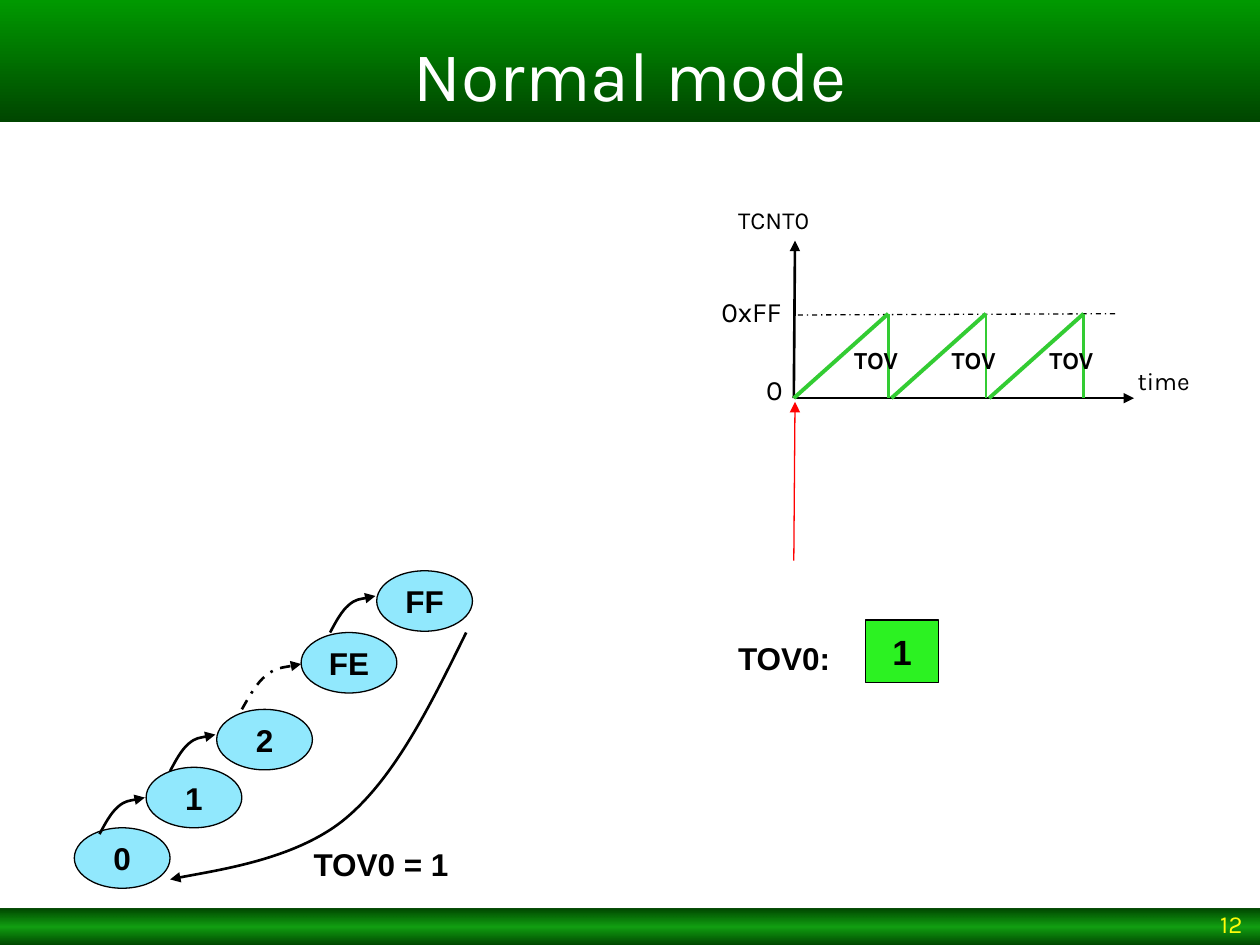
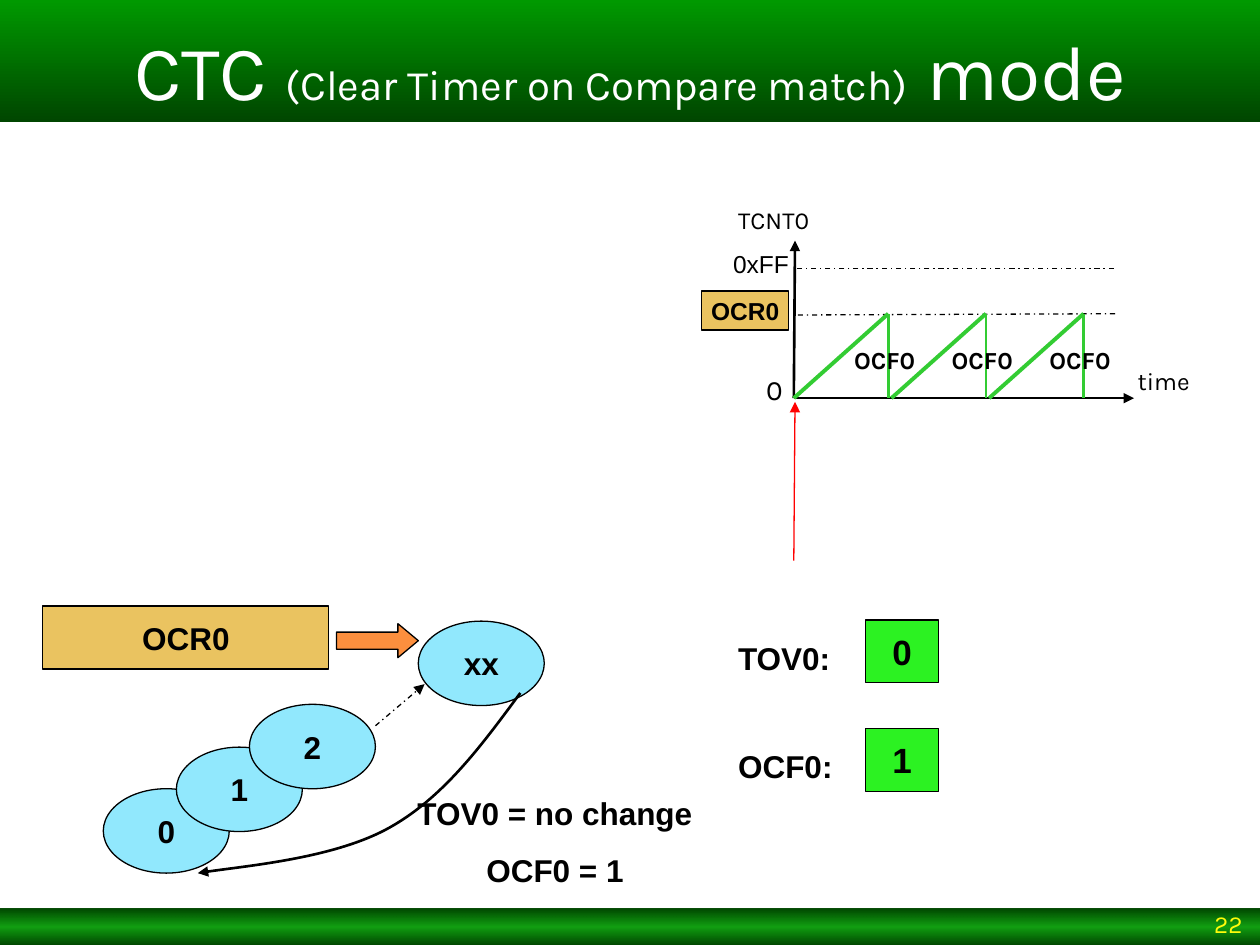
from lxml.etree import SubElement as Sub
from pptx import Presentation
from pptx.dml.color import RGBColor as RGB
from pptx.enum.dml import MSO_LINE_DASH_STYLE as Dash
from pptx.enum.shapes import MSO_CONNECTOR as Link, MSO_SHAPE as Kind
from pptx.enum.text import MSO_ANCHOR as Anchor, PP_ALIGN as Align
from pptx.oxml.ns import qn
from pptx.util import Inches, Pt

BLACK = RGB(0, 0, 0)
WHITE = RGB(0xFF, 0xFF, 0xFF)
DARK = RGB(0x00, 0x46, 0x00)
GREEN = RGB(0x00, 0x99, 0x00)
WAVE = RGB(0x33, 0xCC, 0x33)
FLAG = RGB(0x2C, 0xF2, 0x22)
SKY = RGB(0x91, 0xE8, 0xFD)
SAND = RGB(0xEA, 0xC3, 0x60)
AMBER = RGB(0xFC, 0x8F, 0x3E)
RED = RGB(0xFF, 0, 0)
LEMON = RGB(0xFF, 0xFB, 0x0B)

KARLA = {"name": "Karla", "size": Pt(14), "bold": False}
BIG = KARLA | {"size": Pt(16)}
TAG = KARLA | {"bold": True}
ARIAL = {"name": "Arial", "size": Pt(18), "bold": True}
BIT = ARIAL | {"size": Pt(20)}
SMALL = ARIAL | {"size": Pt(14)}
PLAIN = SMALL | {"bold": False}


def box(shapes, kind, at, lines=(), style=ARIAL, fill=None, color=BLACK,
        align=Align.CENTER, anchor=Anchor.MIDDLE):
    area = [Inches(n) for n in at]
    if kind is None:
        item = shapes.add_textbox(*area)
        anchor = Anchor.TOP
    else:
        item = shapes.add_shape(kind, *area)
        item.shadow.inherit = False
        if fill is None:
            item.line.fill.background()
        else:
            item.fill.solid()
            item.fill.fore_color.rgb = fill
            item.line.color.rgb = BLACK
            item.line.width = Pt(0.75)
    frame = item.text_frame
    frame.word_wrap = kind is None or fill is None
    frame.vertical_anchor = anchor
    for i, line in enumerate(lines):
        para = frame.add_paragraph() if i else frame.paragraphs[0]
        para.alignment = align
        if i:
            para.space_before = Pt(11.4)
        parts = line if isinstance(line, list) else [(line, style["size"])]
        for words, size in parts:
            run = para.add_run()
            run.text = words
            for key, val in (style | {"size": size}).items():
                setattr(run.font, key, val)
            run.font.color.rgb = color
    return item


def draw(shapes, pts, color=BLACK, width=1.5, head=False, dash=False):
    pts = [(Inches(x), Inches(y)) for x, y in pts]
    if len(pts) == 2:
        item = shapes.add_connector(Link.STRAIGHT, *pts[0], *pts[1])
        Sub(item.element.spPr, qn("a:effectLst"))
    else:
        pen = shapes.build_freeform(*pts[0])
        pen.add_line_segments(pts[1:], close=False)
        item = pen.convert_to_shape()
        item.shadow.inherit = False
        item.fill.background()
        legs = item.element.xpath(".//a:lnTo")
        route = legs[0].getparent()
        for i in range(0, len(legs), 3):
            bend = Sub(route, qn("a:cubicBezTo"))
            for leg in legs[i:i + 3]:
                bend.append(leg[0])
                route.remove(leg)
    item.line.color.rgb = color
    item.line.width = Pt(width)
    if dash:
        item.line.dash_style = Dash.DASH_DOT
    if head:
        Sub(item.element.spPr.find(qn("a:ln")), qn("a:tailEnd"), type="triangle")


deck = Presentation()
deck.slide_width, deck.slide_height = Inches(10), Inches(7.5)

PAGES = [
    ([("Normal mode", Pt(40))], "12", "TOV", [("TOV0:", "1")]),
    ([("CTC ", Pt(44)), ("(Clear Timer on Compare match)", Pt(24)),
      (" mode", Pt(44))], "22", "OCF0", [("TOV0:", "0"), ("OCF0:", "1")]),
]
BANDS = [
    ((0, 7.21, 10, 0.29), [(0, DARK, 100), (50, GREEN, 93), (100, DARK, 100)]),
    ((0, 0, 10, 0.97), [(0, GREEN, 100), (100, DARK, 100)]),
]

for title, page, tag, flags in PAGES:
    shapes = deck.slides.add_slide(deck.slide_layouts[6]).shapes
    for at, stops in BANDS:
        lines = [title] if at[1] == 0 else []
        band = box(shapes, Kind.RECTANGLE, at, lines, KARLA, color=WHITE,
                   anchor=Anchor.BOTTOM)
        band.fill.gradient()
        band.fill.gradient_angle = 270
        ramp = band.element.xpath(".//a:gsLst")[0]
        for old in list(ramp):
            ramp.remove(old)
        for pos, tint, alpha in stops:
            stop = Sub(ramp, qn("a:gs"), pos=str(pos * 1000))
            shade = Sub(stop, qn("a:srgbClr"), val=str(tint))
            if alpha < 100:
                Sub(shade, qn("a:alpha"), val=str(alpha * 1000))
    num = box(shapes, None, (7.83, 7.22, 2.13, 0.28), [page], KARLA,
              color=LEMON, align=Align.RIGHT)
    num.text_frame.vertical_anchor = Anchor.BOTTOM

    draw(shapes, [(6.3, 3.16), (9, 3.16)], head=True)
    draw(shapes, [(6.3, 3.16), (6.31, 1.91)], head=True)
    draw(shapes, [(8.85, 2.49), (6.31, 2.5)], width=0.75, dash=True)
    draw(shapes, [(6.3, 4.45), (6.31, 3.19)], RED, 0.75, head=True)
    for words, x, y in [("TCNT0", 5.76, 1.58), ("time", 8.93, 2.86)]:
        box(shapes, None, (x, y, 0.92, 0.34), [words], KARLA, align=Align.LEFT)
    box(shapes, None, (5.89, 2.91, 0.42, 0.37), ["0"], BIG, align=Align.RIGHT)
    for i in range(3):
        tooth = shapes.add_group_shape().shapes
        x = 6.3 + 0.775 * i
        top = (x + 0.75, 2.49)
        draw(tooth, [(x, 3.16), top], WAVE, 2.25)
        draw(tooth, [(x + 0.75, 3.16), top], WAVE)
        box(tooth, None, (x + 0.38, 2.69, 1.16, 0.34), [tag], TAG,
            align=Align.LEFT)
    for i, (name, bit) in enumerate(flags):
        y = 4.92 + 0.86 * i
        box(shapes, None, (5.76, y + 0.1, 1.1, 0.4), [name], align=Align.LEFT)
        box(shapes, Kind.RECTANGLE, (6.87, y, 0.58, 0.5), [bit], BIT, FLAG)

normal, ctc = [slide.shapes for slide in deck.slides]

box(normal, None, (5.33, 2.29, 0.97, 0.37), ["0xFF"], BIG, align=Align.RIGHT)
for words, x, y in [("FE", 2.39, 5.02), ("FF", 2.99, 4.53), ("2", 1.72, 5.63),
                    ("1", 1.16, 6.09), ("0", 0.59, 6.57)]:
    box(normal, Kind.OVAL, (x, y, 0.76, 0.48), [words], fill=SKY)
ARC = [(0, 1), (0.13, 0.7), (0.25, 0.42), (0.41, 0.25), (0.57, 0.08),
       (0.88, 0.04), (1, 0)]
for x, y, w, h, dash in [(0.79, 6.33, 0.36, 0.29, False),
                         (1.35, 5.83, 0.36, 0.29, False),
                         (2.62, 4.73, 0.36, 0.29, False),
                         (1.92, 5.27, 0.47, 0.36, True)]:
    draw(normal, [(x + w * u, y + h * v) for u, v in ARC], head=True, dash=dash)
draw(normal, [(3.7, 5.02), (3.42, 5.59), (3.14, 6.16), (2.75, 6.49),
              (2.36, 6.82), (1.63, 6.92), (1.35, 6.98)], head=True)
box(normal, None, (2.39, 6.66, 1.34, 0.4), ["TOV0 = 1"], align=Align.LEFT)

for words, x, y in [("0", 0.82, 6.26), ("1", 1.4, 5.93), ("2", 1.98, 5.59),
                    ("xx", 3.32, 4.93)]:
    box(ctc, Kind.OVAL, (x, y, 1, 0.67), [words], fill=SKY)
draw(ctc, [(4.13, 5.5), (3.82, 5.92), (3.52, 6.33), (3.09, 6.57),
           (2.66, 6.81), (1.87, 6.88), (1.57, 6.93)], head=True)
draw(ctc, [(2.98, 5.76), (3.37, 5.43)], width=0.75, head=True, dash=True)
box(ctc, None, (2.96, 6.25, 2.89, 0.86), ["TOV0 = no change", "OCF0 = 1"])
box(ctc, Kind.RECTANGLE, (0.34, 4.81, 2.27, 0.5), ["OCR0"], fill=SAND)
box(ctc, Kind.RECTANGLE, (5.57, 2.31, 0.69, 0.31), ["OCR0"], SMALL, SAND)
arrow = box(ctc, Kind.RIGHT_ARROW, (2.67, 4.95, 0.65, 0.27), fill=AMBER)
arrow.adjustments[1] = 0.6
draw(ctc, [(8.84, 2.13), (6.3, 2.13)], width=0.75, dash=True)
box(ctc, None, (5.58, 1.93, 0.78, 0.34), ["0xFF"], PLAIN, align=Align.RIGHT)

deck.save("out.pptx")
